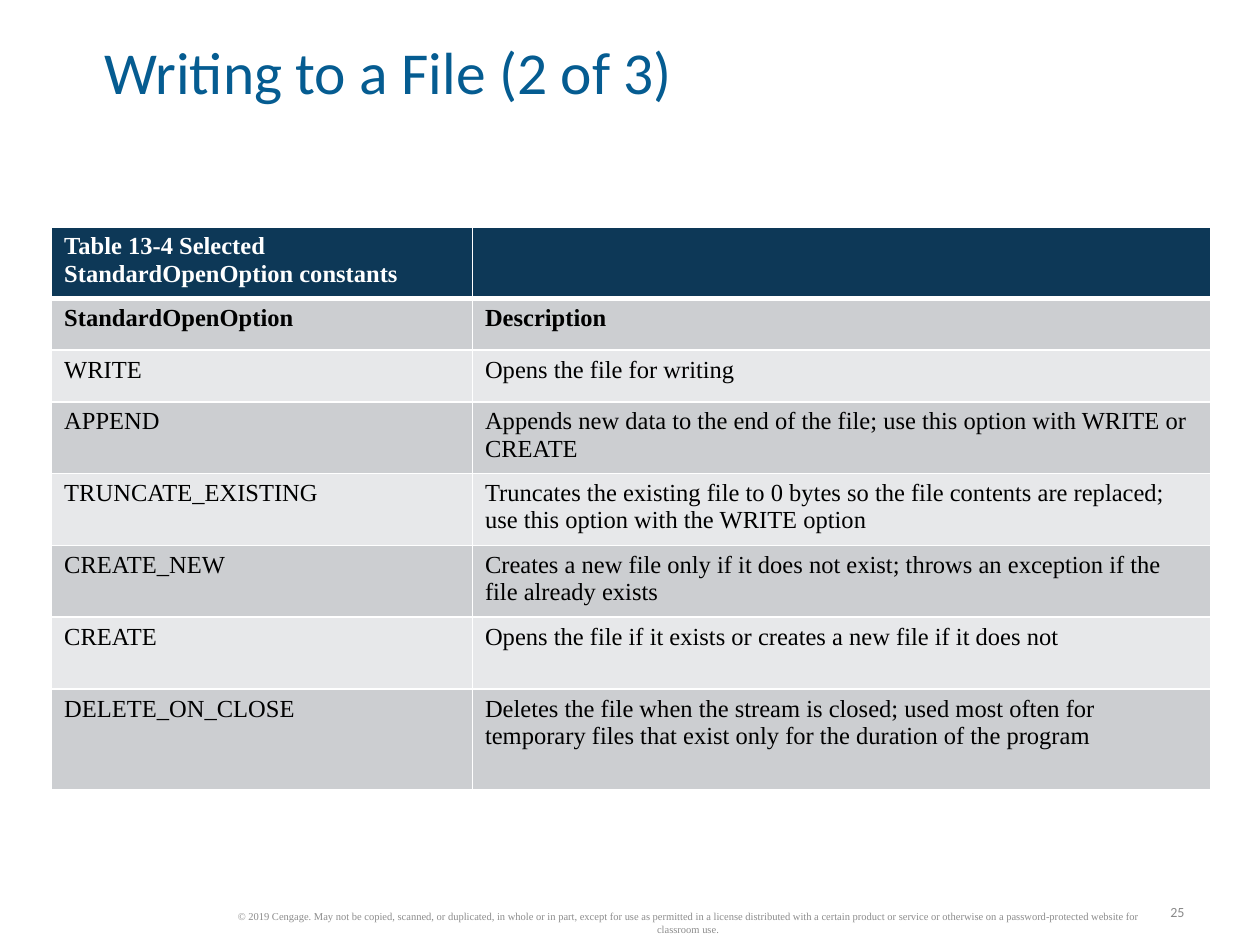
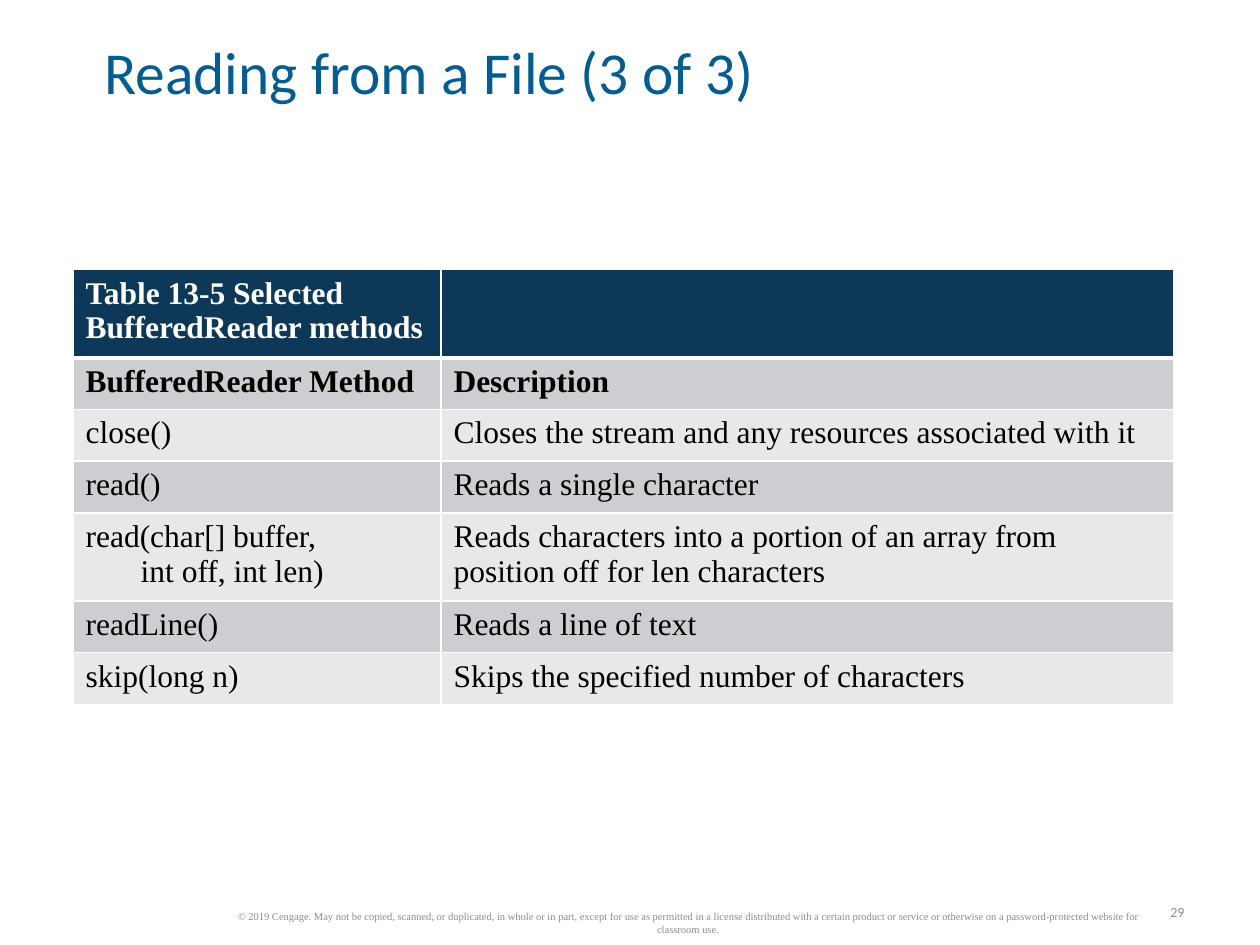
from lxml.etree import SubElement
from pptx import Presentation
from pptx.dml.color import RGBColor
from pptx.enum.text import MSO_ANCHOR as Anchor, PP_ALIGN as Align
from pptx.oxml.ns import qn
from pptx.util import Inches, Pt

TITLE_BLUE = RGBColor(0x05, 0x5C, 0x91)
HEADER_NAVY = RGBColor(0x0D, 0x38, 0x57)
BAND_DARK = RGBColor(0xCC, 0xCE, 0xD1)
BAND_LIGHT = RGBColor(0xE7, 0xE8, 0xEA)
WHITE = RGBColor(0xFF, 0xFF, 0xFF)
BLACK = RGBColor(0, 0, 0)
FOOTER_GREY = RGBColor(0x8C, 0x8C, 0x8C)
NUMBER_GREY = RGBColor(0x89, 0x89, 0x89)
SANS, SERIF = "Calibri", "Times New Roman"

COPYRIGHT = (
    "© 2019 Cengage. May not be copied, scanned, or duplicated, in whole or in part, "
    "except for use as permitted in a license distributed with a certain product or "
    "service or otherwise on a password-protected website for classroom use."
)

OPEN_OPTIONS = [
    ("Table 13-4 Selected StandardOpenOption constants", ""),
    ("StandardOpenOption", "Description"),
    ("WRITE", "Opens the file for writing"),
    ("APPEND", "Appends new data to the end of the file; use this option with WRITE or CREATE"),
    ("TRUNCATE_EXISTING", "Truncates the existing file to 0 bytes so the file contents are "
     "replaced; use this option with the WRITE option"),
    ("CREATE_NEW", "Creates a new file only if it does not exist; throws an exception if "
     "the file already exists"),
    ("CREATE", "Opens the file if it exists or creates a new file if it does not"),
    ("DELETE_ON_CLOSE", "Deletes the file when the stream is closed; used most often for "
     "temporary files that exist only for the duration of the program"),
]

READER_METHODS = [
    ("Table 13-5 Selected BufferedReader methods", ""),
    ("BufferedReader Method", "Description"),
    ("close()", "Closes the stream and any resources associated with it"),
    ("read()", "Reads a single character"),
    ("read(char[] buffer,\n       int off, int len)",
     "Reads characters into a portion of an array from position off for len characters"),
    ("readLine()", "Reads a line of text"),
    ("skip(long n)", "Skips the specified number of characters"),
]


class TableDeck:
    """Holds the deck style and the slide being built."""

    def __init__(self):
        """Start an empty 4:3 deck."""
        self.deck = Presentation()
        self.deck.slide_width, self.deck.slide_height = Inches(10), Inches(7.5)
        self.page = None

    def add_page(self, title, number):
        """Add a slide with its title, copyright line and page number."""
        self.page = self.deck.slides.add_slide(self.deck.slide_layouts[5])
        self.add_title(title)
        self.add_note(COPYRIGHT, (1.75, 7.19, 7.42, 0.27), Align.CENTER,
                      {"name": SERIF, "size": Pt(6)}, FOOTER_GREY)
        self.add_note(str(number), (9.16, 7.12, 0.34, 0.24), Align.RIGHT,
                      {"name": SANS, "size": Pt(8)}, NUMBER_GREY)

    def fill_text(self, frame, text, font, color, **layout):
        """Fill a text frame, one paragraph per line of text."""
        frame.text = text
        for para in frame.paragraphs:
            for name, value in layout.items():
                setattr(para, name, value)
            for name, value in font.items():
                setattr(para.font, name, value)
            para.font.color.rgb = color

    def add_title(self, text):
        """Place and format the title placeholder."""
        box = self.page.shapes.title
        place = {"left": 0.83, "top": 0.36, "width": 8.78, "height": 0.49}
        for name, value in place.items():
            setattr(box, name, Inches(value))
        frame = box.text_frame
        settings = {"margin_left": 0, "margin_top": 0, "margin_right": 0,
                    "margin_bottom": 0, "vertical_anchor": Anchor.MIDDLE}
        for name, value in settings.items():
            setattr(frame, name, value)
        self.fill_text(frame, text, {"name": SANS, "size": Pt(34)}, TITLE_BLUE,
                       alignment=Align.LEFT, line_spacing=0.85)

    def add_note(self, text, place, alignment, font, color):
        """Add a small text box at the foot of the slide."""
        frame = self.page.shapes.add_textbox(*map(Inches, place)).text_frame
        frame.word_wrap = True
        frame.vertical_anchor = Anchor.MIDDLE
        self.fill_text(frame, text, font, color, alignment=alignment)

    def add_borders(self, cell, row):
        """Draw white cell borders, thick below the header row."""
        properties = cell._tc.get_or_add_tcPr()
        widths = {"lnL": 1, "lnR": 1, "lnT": 3 if row == 1 else 1,
                  "lnB": 3 if row == 0 else 1}
        for side, width in widths.items():
            line = SubElement(properties, qn(f"a:{side}"), w=str(Pt(width)))
            SubElement(SubElement(line, qn("a:solidFill")), qn("a:srgbClr"), val=str(WHITE))

    def add_table(self, rows, left, top, widths, heights, size):
        """Add a banded table with a navy header row."""
        place = map(Inches, (left, top, sum(widths), sum(heights)))
        table = self.page.shapes.add_table(len(rows), len(widths), *place).table
        for column, width in zip(table.columns, widths):
            column.width = Inches(width)
        for index, (texts, height) in enumerate(zip(rows, heights)):
            table.rows[index].height = Inches(height)
            band = BAND_DARK if index % 2 else BAND_LIGHT
            font = {"name": SERIF, "size": Pt(size), "bold": index < 2}
            for cell, text in zip(table.rows[index].cells, texts):
                self.add_borders(cell, index)
                cell.fill.solid()
                cell.fill.fore_color.rgb = band if index else HEADER_NAVY
                self.fill_text(cell.text_frame, text, font, BLACK if index else WHITE)


def main():
    """Build both slides and save the deck."""
    builder = TableDeck()
    builder.add_page("Writing to a File (2 of 3)", 25)
    builder.add_table(OPEN_OPTIONS, 0.41, 1.8, (3.34, 5.86),
                      (0.57, 0.41, 0.41, 0.57, 0.57, 0.57, 0.57, 0.8), 14)
    builder.add_page("Reading from a File (3 of 3)", 29)
    builder.add_table(READER_METHODS, 0.58, 2.14, (2.92, 5.82),
                      (0.7, 0.41, 0.41, 0.41, 0.7, 0.41, 0.41), 18)
    builder.deck.save("out.pptx")


if __name__ == "__main__":
    main()
